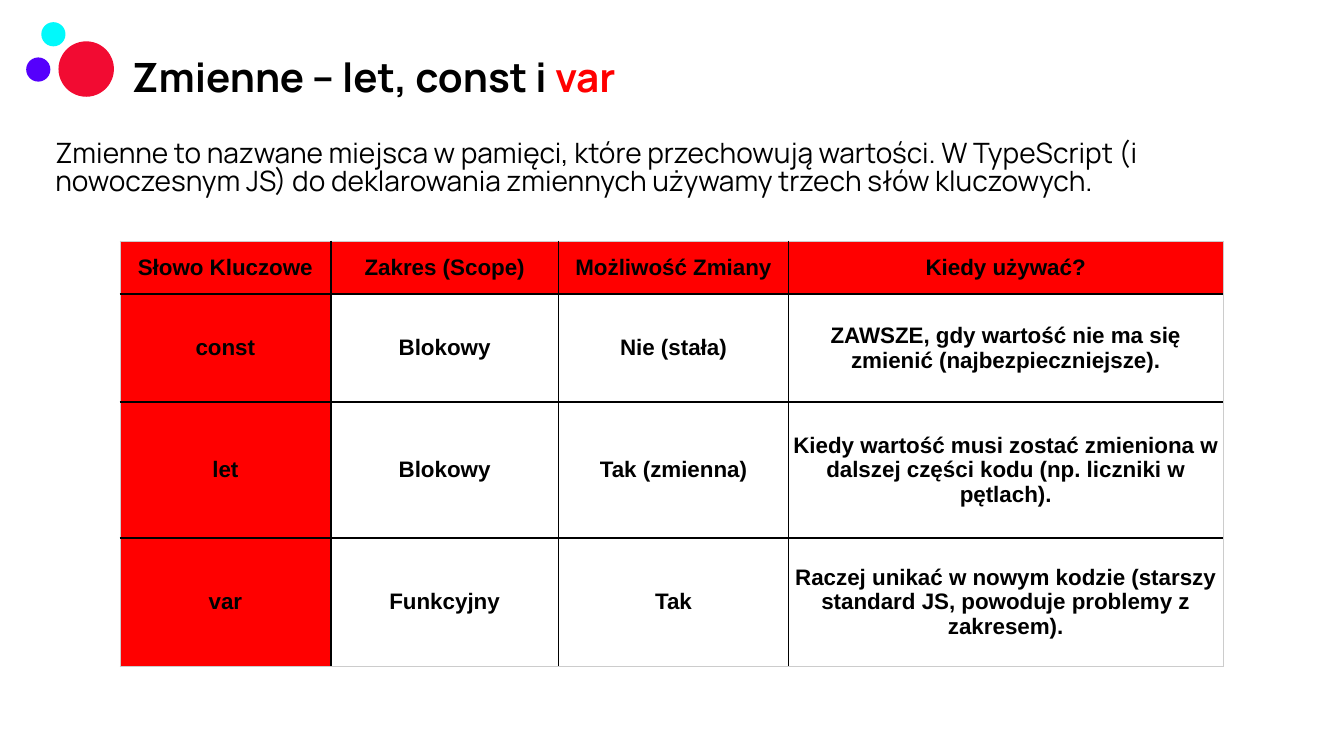
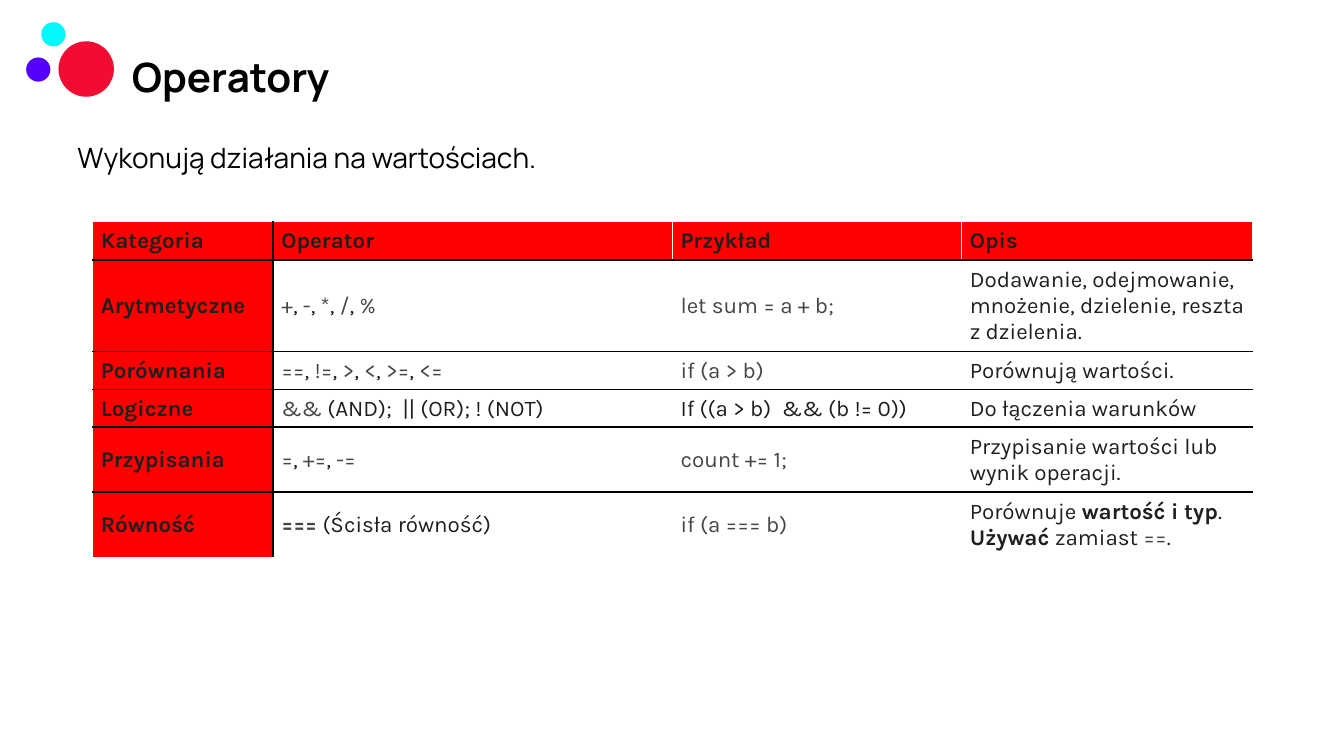
from dataclasses import dataclass

from lxml import etree
from pptx import Presentation
from pptx.dml.color import RGBColor
from pptx.enum import shapes, text
from pptx.oxml import ns
from pptx.util import Pt

PX = 9144


def px(length):
    return length * PX


@dataclass(frozen=True)
class Theme:
    black: str = "000000"
    white: str = "FFFFFF"
    red: str = "FF0000"
    ink: str = "1F1F1F"
    code: str = "444746"
    edge: str = "CCCCCC"
    crimson: str = "F20B32"
    violet: str = "5500FC"
    cyan: str = "01F9FB"
    heading_font: str = "Manrope"
    title_size: float = 28.8
    lead_size: float = 20
    table_size: float = 16
    grid_width: float = 1.5
    edge_width: float = 0.5


THEME = Theme()


@dataclass(frozen=True)
class Run:
    words: str
    color: str
    bold: bool = False


@dataclass(frozen=True)
class TableStyle:
    font: str
    color: str
    edge: str
    align: text.PP_ALIGN
    insets: tuple
    ruled_columns: int
    bold_body: bool


KEYWORD_STYLE = TableStyle("Arial", THEME.black, THEME.edge, text.PP_ALIGN.CENTER,
                           (1, 1, 1, 1), 3, True)
OPERATOR_STYLE = TableStyle("Karla", THEME.ink, THEME.white, text.PP_ALIGN.LEFT,
                            (8, 6, 8, 5), 1, False)


def code(words, bold=False):
    return Run(words, THEME.code, bold)


def prose(words, bold=False):
    return Run(words, THEME.ink, bold)


def operators(*symbols):
    runs = [code(symbols[0])]
    for symbol in symbols[1:]:
        runs += [prose(", "), code(symbol)]
    return runs


class Deck:
    def __init__(self, theme):
        self.theme = theme
        self.show = Presentation()
        self.show.slide_width = px(1333)
        self.show.slide_height = px(750)
        self.slide = None

    def new_slide(self, *title):
        self.slide = self.show.slides.add_slide(self.show.slide_layouts[6])
        self.dot(58, 41, 55, self.theme.crimson)
        self.dot(26, 57, 24, self.theme.violet)
        self.dot(41, 22, 24, self.theme.cyan)
        self.textbox((121, 51, 1120, 56), title, self.theme.title_size, 0.9,
                     text.MSO_ANCHOR.MIDDLE)

    def dot(self, left, top, size, color):
        dot = self.slide.shapes.add_shape(
            shapes.MSO_SHAPE.OVAL, px(left), px(top), px(size), px(size))
        dot.shadow.inherit = False
        dot.fill.solid()
        dot.fill.fore_color.rgb = RGBColor.from_string(color)
        dot.line.fill.background()

    def add_runs(self, paragraph, runs, font, size):
        for run in runs:
            part = paragraph.add_run()
            part.text = run.words
            part.font.name = font
            part.font.size = Pt(size)
            part.font.bold = run.bold
            part.font.color.rgb = RGBColor.from_string(run.color)

    def textbox(self, area, runs, size, spacing, anchor=text.MSO_ANCHOR.TOP):
        frame = self.slide.shapes.add_textbox(*map(px, area)).text_frame
        frame.word_wrap = True
        frame.vertical_anchor = anchor
        paragraph = frame.paragraphs[0]
        paragraph.line_spacing = spacing
        self.add_runs(paragraph, runs, self.theme.heading_font, size)

    def lead(self, area, words, spacing=1.0):
        self.textbox(area, [Run(words, self.theme.black)], self.theme.lead_size, spacing)

    def border(self, cell, side, ruled, edge):
        color = self.theme.black if ruled else edge
        width = self.theme.grid_width if ruled else self.theme.edge_width
        properties = cell._tc.get_or_add_tcPr()
        line = etree.SubElement(properties, ns.qn(f"a:ln{side}"), w=str(int(Pt(width))))
        fill = etree.SubElement(line, ns.qn("a:solidFill"))
        etree.SubElement(fill, ns.qn("a:srgbClr"), val=color)

    def table(self, left, top, columns, heights, rows, style):
        table = self.slide.shapes.add_table(
            len(rows), len(columns), px(left), px(top),
            px(sum(columns)), px(sum(heights))).table
        table.first_row = False
        table.horz_banding = False
        for column, width in zip(table.columns, columns):
            column.width = px(width)
        for row, height in zip(table.rows, heights):
            row.height = px(height)
        for r, row in enumerate(rows):
            for c, content in enumerate(row):
                cell = table.cell(r, c)
                ruled = {
                    "L": 0 < c <= style.ruled_columns,
                    "R": c < min(style.ruled_columns, len(columns) - 1),
                    "T": r > 0,
                    "B": r < len(rows) - 1,
                }
                for side, is_ruled in ruled.items():
                    self.border(cell, side, is_ruled, style.edge)
                self.fill_cell(cell, content, r == 0 or c == 0, style)

    def fill_cell(self, cell, content, is_header, style):
        cell.fill.solid()
        cell.fill.fore_color.rgb = RGBColor.from_string(
            self.theme.red if is_header else self.theme.white)
        cell.vertical_anchor = text.MSO_ANCHOR.MIDDLE
        (cell.margin_left, cell.margin_top,
         cell.margin_right, cell.margin_bottom) = map(px, style.insets)
        if isinstance(content, str):
            content = [Run(content, style.color, is_header or style.bold_body)]
        paragraph = cell.text_frame.paragraphs[0]
        paragraph.alignment = style.align
        self.add_runs(paragraph, content, style.font, self.theme.table_size)


KEYWORDS = [
    ["Słowo Kluczowe", "Zakres (Scope)", "Możliwość Zmiany", "Kiedy używać?"],
    ["const", "Blokowy", "Nie (stała)",
     "ZAWSZE, gdy wartość nie ma się zmienić (najbezpieczniejsze)."],
    ["let", "Blokowy", "Tak (zmienna)",
     "Kiedy wartość musi zostać zmieniona w dalszej części kodu (np. liczniki w pętlach)."],
    ["var", "Funkcyjny", "Tak",
     "Raczej unikać w nowym kodzie (starszy standard JS, powoduje problemy z zakresem)."],
]

OPERATORS = [
    ["Kategoria", "Operator", "Przykład", "Opis"],
    ["Arytmetyczne", operators("+", "-", "*", "/", "%"), [code("let sum = a + b;")],
     "Dodawanie, odejmowanie, mnożenie, dzielenie, reszta z dzielenia."],
    ["Porównania", operators("==", "!=", ">", "<", ">=", "<="), [code("if (a > b)")],
     "Porównują wartości."],
    ["Logiczne", [code("&&"), prose(" (AND);  || (OR); ! (NOT)")],
     "If ((a > b)  && (b != 0))", "Do łączenia warunków"],
    ["Przypisania", operators("=", "+=", "-="), [code("count += 1;")],
     "Przypisanie wartości lub wynik operacji."],
    ["Równość", [code("===", True), prose(" (Ścisła równość)")], [code("if (a === b)")],
     [prose("Porównuje "), prose("wartość i typ", True), prose(". "),
      prose("Używać ", True), prose("zamiast "), code("=="), prose(".")]],
]


def main():
    deck = Deck(THEME)

    deck.new_slide(Run("Zmienne – let, const i ", THEME.black, True),
                   Run("var", THEME.red, True))
    deck.lead((45, 136, 1254, 80),
              "Zmienne to nazwane miejsca w pamięci, które przechowują wartości. "
              "W TypeScript (i nowoczesnym JS) do deklarowania zmiennych używamy "
              "trzech słów kluczowych.", 0.81)
    deck.table(119, 239, [209, 226, 228, 431], [53, 107, 135, 127],
               KEYWORDS, KEYWORD_STYLE)

    deck.new_slide(Run("Operatory", THEME.black, True))
    deck.table(92, 220, [179, 396, 287, 288], [37, 89, 37, 37, 63, 63],
               OPERATORS, OPERATOR_STYLE)
    deck.lead((67, 134, 1226, 44), "Wykonują działania na wartościach.")

    deck.show.save("out.pptx")


if __name__ == "__main__":
    main()
